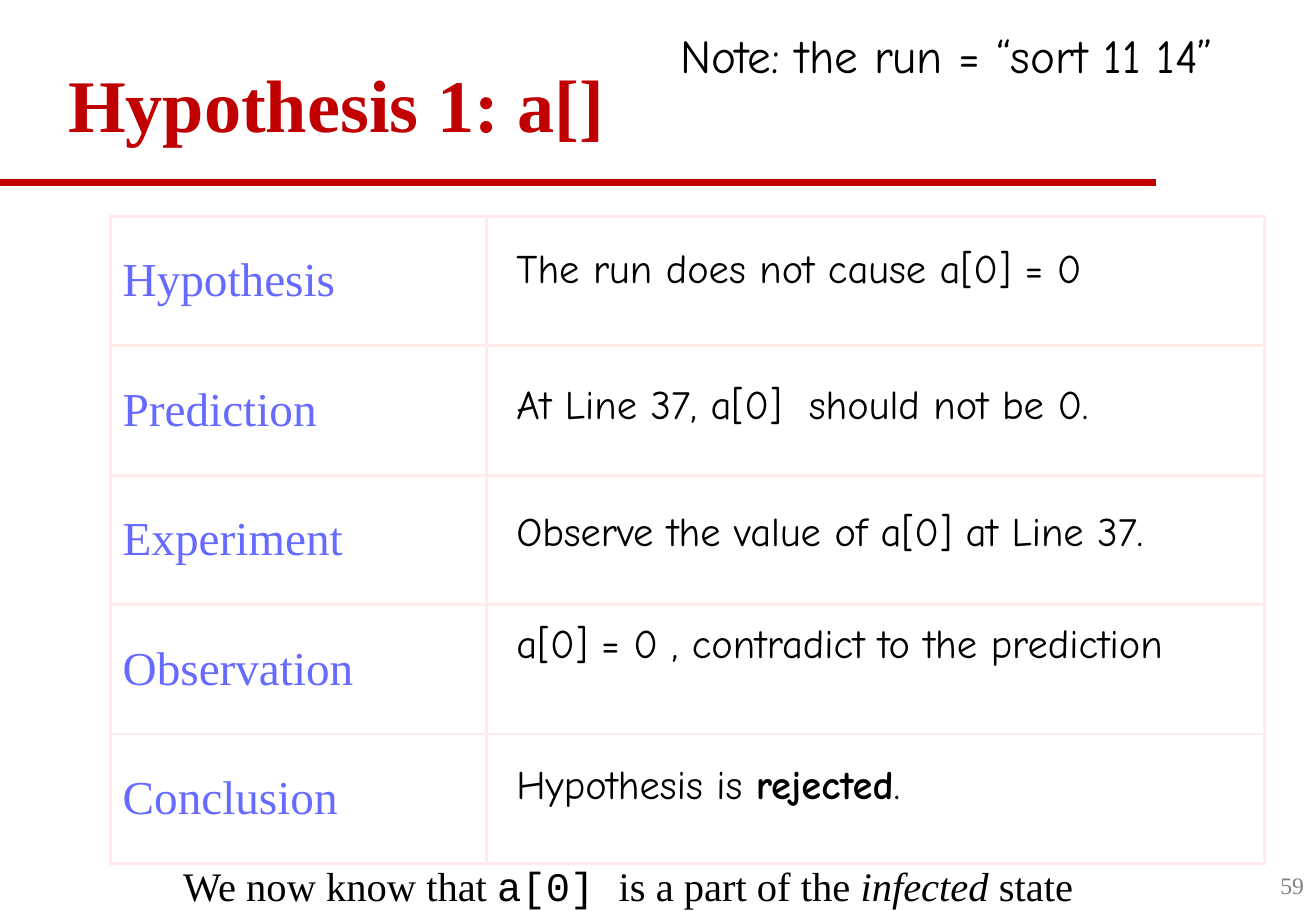
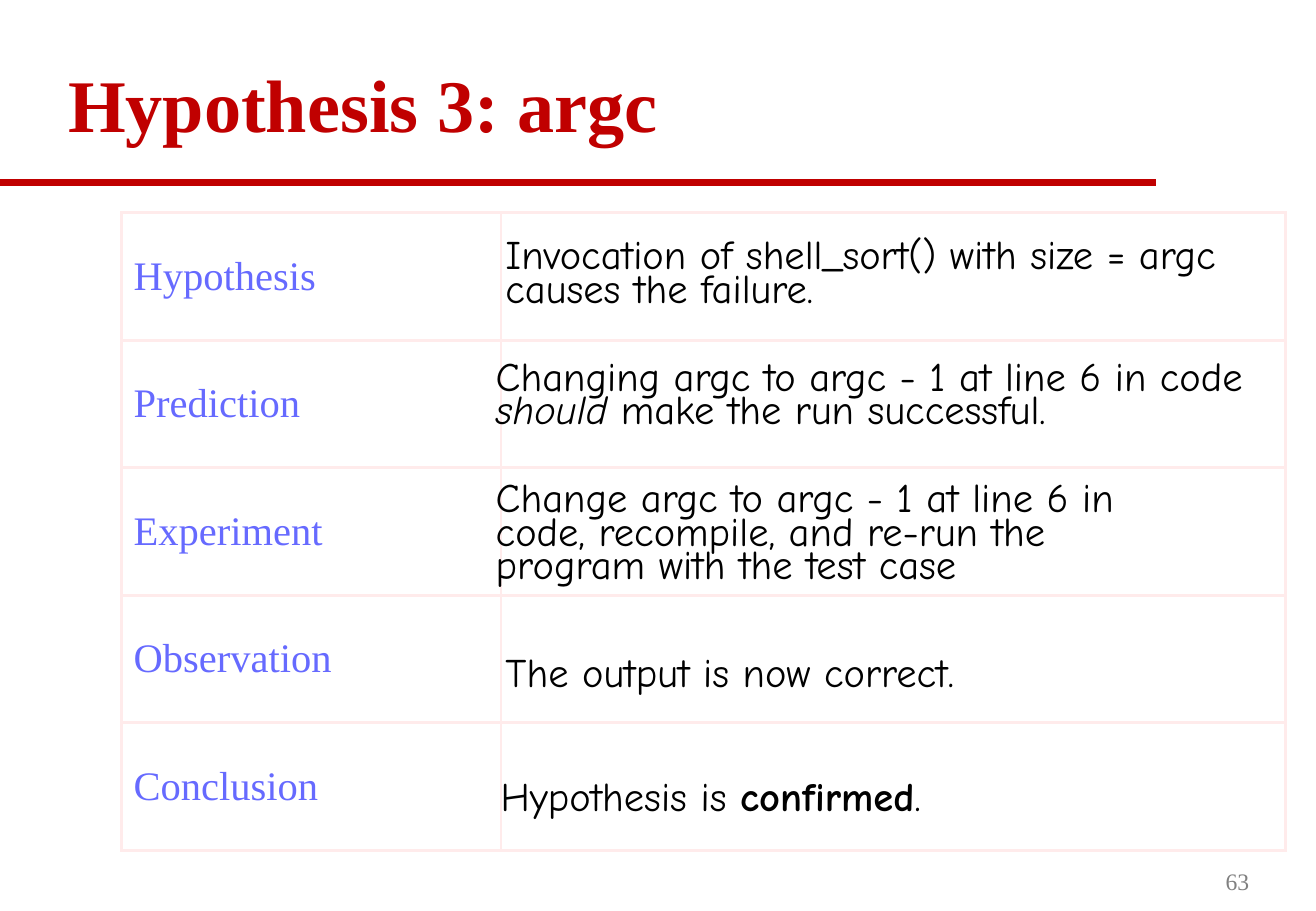
from dataclasses import dataclass

from lxml import etree
from pptx import Presentation
from pptx.dml.color import RGBColor
from pptx.enum.shapes import MSO_CONNECTOR
from pptx.enum.text import MSO_ANCHOR, MSO_AUTO_SIZE, PP_ALIGN
from pptx.oxml.ns import qn
from pptx.slide import Slide
from pptx.util import Inches, Pt

STRAIGHT = MSO_CONNECTOR.STRAIGHT
TOP, MIDDLE = MSO_ANCHOR.TOP, MSO_ANCHOR.MIDDLE
LEFT, RIGHT = PP_ALIGN.LEFT, PP_ALIGN.RIGHT
NO_FIT = MSO_AUTO_SIZE.NONE

COLORS = {
    "title": "C00000",
    "label": "666AFF",
    "grid": "FFEBEB",
    "text": "000000",
    "number": "808080",
}
SERIF, HAND, CODE = "Times New Roman", "Comic Neue", "Courier New"
LABELS = ["Hypothesis", "Prediction", "Experiment", "Observation", "Conclusion"]
TITLE_ONLY = 5
LABEL_SHARE = 0.326  # part of the table width taken by the labels


@dataclass
class Run:
    text: str
    font: str = ""
    bold: bool = False
    italic: bool = False


@dataclass
class Box:
    left: float
    top: float
    width: float
    height: float
    runs: list[Run]
    font: str = HAND
    size: int = 24
    color: str = "text"
    pad: tuple[float, float] = (0, 0)
    align: PP_ALIGN = LEFT
    anchor: MSO_ANCHOR = TOP
    spacing: float = 1.0


@dataclass
class Grid:
    left: float
    top: float
    width: float
    height: float
    size: int


@dataclass
class Page:
    title: str
    number: Box
    grid: Grid
    boxes: list[Box]


def style(font, name: str, size: int, color: str) -> None:
    font.name = name
    font.size = Pt(size)
    font.color.rgb = RGBColor.from_string(COLORS[color])


def add_title(slide: Slide, text: str) -> None:
    title = slide.shapes.title
    title.left, title.top = Inches(0.45), Inches(0.29)
    title.width, title.height = Inches(9.88), Inches(1.21)
    frame = title.text_frame
    frame.text = text
    frame.auto_size = NO_FIT
    frame.vertical_anchor = MIDDLE
    frame.margin_left, frame.margin_right = Inches(0.11), Inches(0.13)
    frame.margin_top = frame.margin_bottom = 0
    para = frame.paragraphs[0]
    para.alignment = LEFT
    para.line_spacing = 0.9
    style(para.runs[0].font, SERIF, 44, "title")
    para.runs[0].font.bold = True


def add_rule(slide: Slide) -> None:
    """Draw the line under the title."""
    rule = slide.shapes.add_connector(
        STRAIGHT, 0, Inches(1.5), Inches(9.51), Inches(1.5)
    )
    rule.line.color.rgb = RGBColor.from_string(COLORS["title"])
    rule.line.width = Pt(4)
    etree.SubElement(rule.element.spPr, qn("a:effectLst"))


def add_box(slide: Slide, box: Box) -> None:
    shape = slide.shapes.add_textbox(
        Inches(box.left), Inches(box.top), Inches(box.width), Inches(box.height)
    )
    frame = shape.text_frame
    frame.word_wrap = True
    frame.vertical_anchor = box.anchor
    frame.margin_left = frame.margin_right = Inches(box.pad[0])
    frame.margin_top = frame.margin_bottom = Inches(box.pad[1])
    para = frame.paragraphs[0]
    para.alignment = box.align
    para.line_spacing = box.spacing
    for part in box.runs:
        run = para.add_run()
        run.text = part.text
        style(run.font, part.font or box.font, box.size, box.color)
        run.font.bold = part.bold
        run.font.italic = part.italic


def set_border(cell) -> None:
    props = cell._tc.get_or_add_tcPr()
    for spot, side in enumerate(("lnL", "lnR", "lnT", "lnB")):
        line = etree.Element(qn(f"a:{side}"), w=str(Pt(2)))
        fill = etree.SubElement(line, qn("a:solidFill"))
        etree.SubElement(fill, qn("a:srgbClr"), val=COLORS["grid"])
        props.insert(spot, line)


def add_grid(slide: Slide, grid: Grid) -> None:
    table = slide.shapes.add_table(
        len(LABELS), 2, Inches(grid.left), Inches(grid.top),
        Inches(grid.width), Inches(grid.height),
    ).table
    table.first_row = table.horz_banding = False
    first = grid.width * LABEL_SHARE
    table.columns[0].width = Inches(first)
    table.columns[1].width = Inches(grid.width - first)
    for row, label in zip(table.rows, LABELS):
        for cell in row.cells:
            cell.fill.background()
            set_border(cell)
        cell = row.cells[0]
        cell.vertical_anchor = MIDDLE
        cell.margin_left = Inches(0.1)
        cell.margin_right = cell.margin_top = cell.margin_bottom = Inches(0.03)
        cell.text_frame.text = label
        style(cell.text_frame.paragraphs[0].runs[0].font, SERIF, grid.size, "label")


def number(left: float, top: float, text: str) -> Box:
    return Box(left, top, 2.26, 0.5, [Run(text)], SERIF, 14, "number",
               (0.1, 0.05), RIGHT, MIDDLE)


def answer(left: float, top: float, *runs: Run, width: float = 5.86) -> Box:
    return Box(left, top, width, 0.57, list(runs))


def dense(left: float, top: float, *runs: Run, width: float = 5.86) -> Box:
    """Make an answer of several tightly set lines."""
    return Box(left, top, width, 0.95, list(runs), spacing=0.69)


PAGES = [
    Page(
        "Hypothesis 1: a[]",
        number(8.57, 7.04, "59"),
        Grid(0.91, 1.78, 9.5, 5.33, 28),
        [
            answer(4.25, 2, Run("The run does not cause a[0] = 0")),
            answer(4.25, 3.12, Run("At Line 37, a[0]  should not be 0.")),
            answer(4.25, 4.17, Run("Observe the value of a[0] at Line 37."),
                   width=6.52),
            answer(4.25, 5.09, Run("a[0] = 0 , contradict to the prediction")),
            answer(4.25, 6.25, Run("Hypothesis is "), Run("rejected", bold=True),
                   Run(".")),
            Box(1.41, 7.04, 8.83, 0.5, [
                Run("We now know that "), Run("a[0] ", CODE),
                Run("is a part of the "), Run("infected", italic=True),
                Run(" state"),
            ], SERIF, pad=(0.1, 0.05)),
            Box(5.5, 0.17, 5.34, 0.57, [Run("Note: the run = “sort 11 14”")],
                size=28, pad=(0.1, 0.05)),
        ],
    ),
    Page(
        "Hypothesis 3: argc",
        number(8.12, 7, "63"),
        Grid(1, 1.75, 9.58, 5.25, 24),
        [
            dense(4.16, 2, Run("Invocation of shell_sort() with size = argc "
                               "causes the failure.")),
            dense(4.08, 3, Run("Changing argc to argc - 1 at line 6 in code "),
                  Run("should", italic=True),
                  Run(" make the run successful."), width=6.5),
            dense(4.08, 4, Run("Change argc to argc - 1 at line 6 in code, "
                               "recompile, and re-run the program with the "
                               "test case")),
            answer(4.16, 5.33, Run("The output is now correct.")),
            answer(4.12, 6.35, Run("Hypothesis is "), Run("confirmed", bold=True),
                   Run(".")),
        ],
    ),
]


def main() -> None:
    deck = Presentation()
    deck.slide_width, deck.slide_height = Inches(10.83), Inches(7.5)
    for page in PAGES:
        slide = deck.slides.add_slide(deck.slide_layouts[TITLE_ONLY])
        add_rule(slide)
        add_title(slide, page.title)
        add_grid(slide, page.grid)
        for box in [page.number, *page.boxes]:
            add_box(slide, box)
    deck.save("out.pptx")


if __name__ == "__main__":
    main()
